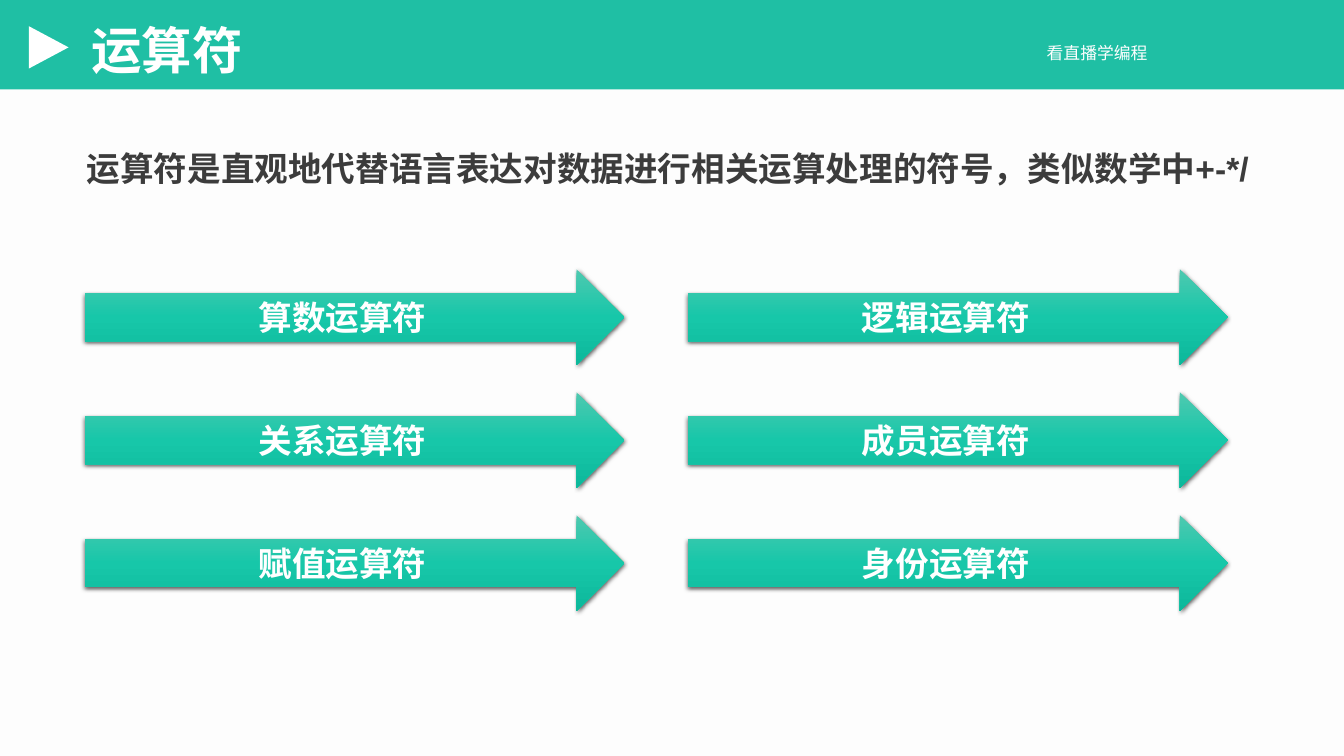
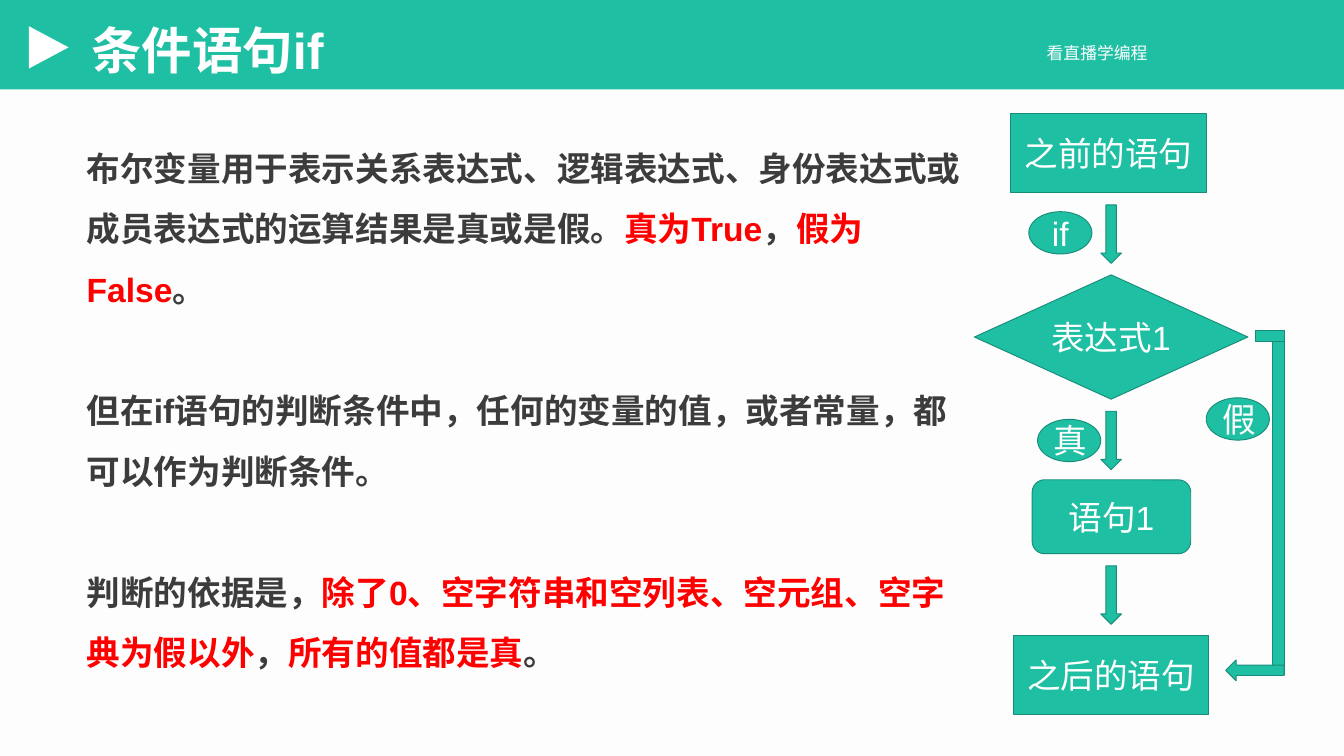
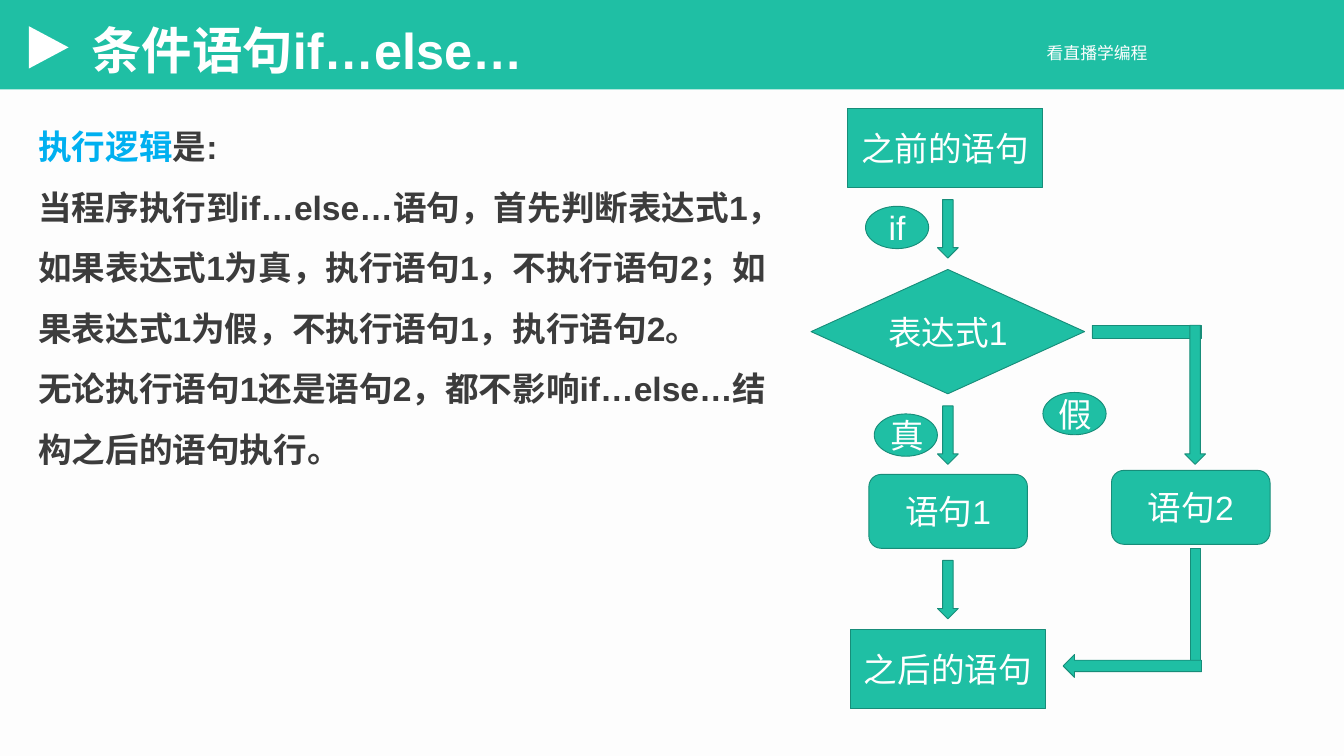
from pptx import Presentation
from pptx.dml.color import RGBColor
from pptx.enum.shapes import MSO_SHAPE
from pptx.enum.text import MSO_ANCHOR, MSO_AUTO_SIZE, PP_ALIGN
from pptx.oxml import parse_xml
from pptx.oxml.ns import nsdecls, qn
from pptx.util import Inches, Pt

RECT, ROUND = MSO_SHAPE.RECTANGLE, MSO_SHAPE.ROUNDED_RECTANGLE
OVAL, DIAMOND = MSO_SHAPE.OVAL, MSO_SHAPE.DIAMOND
DOWN, LEFT, RIGHT = MSO_SHAPE.DOWN_ARROW, MSO_SHAPE.LEFT_ARROW, MSO_SHAPE.RIGHT_ARROW
TRIANGLE = MSO_SHAPE.ISOSCELES_TRIANGLE
TOP, MIDDLE = MSO_ANCHOR.TOP, MSO_ANCHOR.MIDDLE
CENTER, START = PP_ALIGN.CENTER, PP_ALIGN.LEFT
NO_FIT = MSO_AUTO_SIZE.NONE

TEAL = RGBColor(0x1F, 0xBF, 0xA4)
EDGE = RGBColor(0x17, 0x8D, 0x79)
WHITE = RGBColor(0xFF, 0xFF, 0xFF)
PAPER = RGBColor(0xFD, 0xFD, 0xFD)
DARK = RGBColor(0x3C, 0x3C, 0x3C)
RED = RGBColor(0xFF, 0x00, 0x00)
BLUE = RGBColor(0x00, 0xB0, 0xF0)
FONT = "Arial"

# Content: each body is a list of paragraphs, each a list of (text, colour)
TAG = "看直播学编程"
KINDS = [
    ["算数运算符", "关系运算符", "赋值运算符"],
    ["逻辑运算符", "成员运算符", "身份运算符"],
]
INTRO = [[("运算符是直观地代替语言表达对数据进行相关运算处理的符号，类似数学中+-*/", DARK)]]
IF_TEXT = [
    [("布尔变量用于表示关系表达式、逻辑表达式、身份表达式或成员表达式的运算结果是真或是假。", DARK),
     ("真为True", RED), ("，", DARK), ("假为False", RED), ("。", DARK)],
    [("但在if语句的判断条件中，任何的变量的值，或者常量，都可以作为判断条件。", DARK)],
    [("判断的依据是，", DARK), ("除了0、空字符串和空列表、空元组、空字典为假以外", RED),
     ("，", DARK), ("所有的值都是真", RED), ("。", DARK)],
]
ELSE_TEXT = [
    [("执行逻辑", BLUE), ("是:", DARK)],
    [("当程序执行到if…else…语句，首先判断表达式1，如果表达式1为真，执行语句1，"
      "不执行语句2；如果表达式1为假，不执行语句1，执行语句2。", DARK)],
    [("无论执行语句1还是语句2，都不影响if…else…结构之后的语句执行。", DARK)],
]

# Flow parts: kind, left, top, text; measured from the flow's corner
SIZES = {RECT: (2.91, 1.18), DOWN: (0.31, 0.87), DIAMOND: (4.07, 1.85),
         OVAL: (0.94, 0.63), ROUND: (2.36, 1.1)}
FLOW = [
    (RECT, 0.54, 0, "之前的语句"),
    (DOWN, 1.88, 1.36, ""),
    (DIAMOND, 0, 2.4, "表达式1"),
    (DOWN, 1.88, 4.43, ""),
    (OVAL, 0.94, 4.55, "真"),
    (ROUND, 0.86, 5.45, "语句1"),
    (DOWN, 1.88, 6.73, ""),
    (RECT, 0.58, 7.76, "之后的语句"),
    (OVAL, 3.45, 4.23, "假"),
    (OVAL, 0.81, 1.46, "if"),
]
# False branches: kind, box on the slide, text
IF_PATH = [
    (RECT, (18.94, 4.92, 0.18, 5.12), ""),
    (LEFT, (18.24, 9.82, 0.87, 0.31), ""),
    (RECT, (18.68, 4.92, 0.43, 0.16), ""),
]
ELSE_PATH = [
    (RECT, (17.72, 8.16, 0.15, 1.79), ""),
    (LEFT, (15.82, 9.74, 2.06, 0.34), ""),
    (RECT, (16.25, 4.84, 1.63, 0.19), ""),
    (DOWN, (17.63, 4.84, 0.31, 2.07), ""),
    (ROUND, (16.54, 7, 2.36, 1.1), "语句2"),
]

GRADIENT = (
    f'<a:gradFill {nsdecls("a")} rotWithShape="1"><a:gsLst>'
    '<a:gs pos="0"><a:srgbClr val="4EC9B0"/></a:gs>'
    '<a:gs pos="50000"><a:srgbClr val="17C7A9"/></a:gs>'
    '<a:gs pos="100000"><a:srgbClr val="0DB89B"/></a:gs>'
    '</a:gsLst><a:lin ang="5400000" scaled="0"/></a:gradFill>')
SHADOW = (
    f'<a:outerShdw {nsdecls("a")} blurRad="57150" dist="19050" dir="5400000" '
    'algn="ctr" rotWithShape="0"><a:srgbClr val="000000">'
    '<a:alpha val="63000"/></a:srgbClr></a:outerShdw>')


def place(shape, box):
    shape.left, shape.top, shape.width, shape.height = map(Inches, box)


def add_run(para, text, size, color, bold=False):
    run = para.add_run()
    run.text = text
    font = run.font
    font.name, font.size, font.bold = FONT, Pt(size), bold
    font.color.rgb = color


def add_part(slide, kind, box, text="", fill=TEAL, line=EDGE, bold=False):
    shape = slide.shapes.add_shape(kind, *map(Inches, box))
    shape.shadow.inherit = False
    shape.fill.solid()
    shape.fill.fore_color.rgb = fill
    if line is None:
        shape.line.fill.background()
    else:
        shape.line.color.rgb = line
        shape.line.width = Pt(1)
    if text:
        frame = shape.text_frame
        frame.word_wrap = True
        frame.vertical_anchor = MIDDLE
        frame.paragraphs[0].alignment = CENTER
        add_run(frame.paragraphs[0], text, 36, WHITE, bold)
    return shape


def add_arrow(slide, box, text):
    """Block arrow with a gradient and a soft shadow."""
    shape = add_part(slide, RIGHT, box, text, line=None, bold=True)
    props = shape.element.spPr
    props.replace(props.find(qn("a:solidFill")), parse_xml(GRADIENT))
    props.find(qn("a:effectLst")).append(parse_xml(SHADOW))


def set_layout(layout):
    """Background and title place; only title and body stay."""
    layout.background.fill.solid()
    layout.background.fill.fore_color.rgb = PAPER
    for holder in list(layout.placeholders)[2:]:
        layout.shapes.element.remove(holder.element)
    place(layout.placeholders[0], (1.26, 0.23, 12.85, 1.01))


def add_band(slide, layout):
    """Draw the band once and hand its parts to the layout."""
    band = add_part(slide, RECT, (0, -0.01, 20, 1.34), line=None)
    mark = add_part(slide, TRIANGLE, (0.41, 0.41, 0.63, 0.59), fill=WHITE, line=None)
    mark.rotation = 90
    tag = slide.shapes.add_textbox(*map(Inches, (15.13, 0.58, 2.39, 0.4)))
    tag.text_frame.word_wrap = True
    para = tag.text_frame.paragraphs[0]
    para.alignment = CENTER
    add_run(para, TAG, 18, WHITE)
    for part in (band, mark, tag):
        layout.shapes.element.append(part.element)


def add_slide(deck, layout, title, body, box, gap=0):
    slide = deck.slides.add_slide(layout)
    head, text = slide.placeholders
    place(text, box)
    for frame in (head.text_frame, text.text_frame):
        frame.auto_size = NO_FIT
        frame.word_wrap = True
        frame.vertical_anchor = TOP
    para = head.text_frame.paragraphs[0]
    para.alignment = START
    add_run(para, title, 54, WHITE, True)
    # Body paragraphs without bullets
    frame = text.text_frame
    for i, runs in enumerate(body):
        para = frame.add_paragraph() if i else frame.paragraphs[0]
        para.line_spacing = 1.5
        para.space_before = Pt(gap if i else 0)
        props = para._p.get_or_add_pPr()
        props.set("marL", "0")
        props.set("indent", "0")
        props.append(parse_xml(f'<a:buNone {nsdecls("a")}/>'))
        for words, color in runs:
            add_run(para, words, 36, color, True)
    return slide


def add_flow(slide, left, top, path):
    for kind, x, y, text in FLOW:
        add_part(slide, kind, (left + x, top + y, *SIZES[kind]), text)
    for kind, box, text in path:
        add_part(slide, kind, box, text)


def main():
    deck = Presentation()
    deck.slide_width, deck.slide_height = Inches(20), Inches(11.25)
    layout = deck.slide_layouts[1]
    set_layout(layout)

    # Operators
    slide = add_slide(deck, layout, "运算符", INTRO, (1.19, 1.85, 17.55, 0.9))
    add_band(slide, layout)
    for col, names in enumerate(KINDS):
        for row, name in enumerate(names):
            add_arrow(slide, (1.26 + 8.98 * col, 4.01 + 1.83 * row, 8.03, 1.42), name)

    # if
    slide = add_slide(deck, layout, "条件语句if", IF_TEXT, (1.19, 1.85, 13.31, 7.26), 65)
    add_flow(slide, 14.5, 1.69, IF_PATH)

    # if…else…
    slide = add_slide(deck, layout, "条件语句if…else…", ELSE_TEXT, (0.47, 1.53, 11.49, 6.35))
    add_flow(slide, 12.07, 1.61, ELSE_PATH)

    deck.save("out.pptx")


if __name__ == "__main__":
    main()
